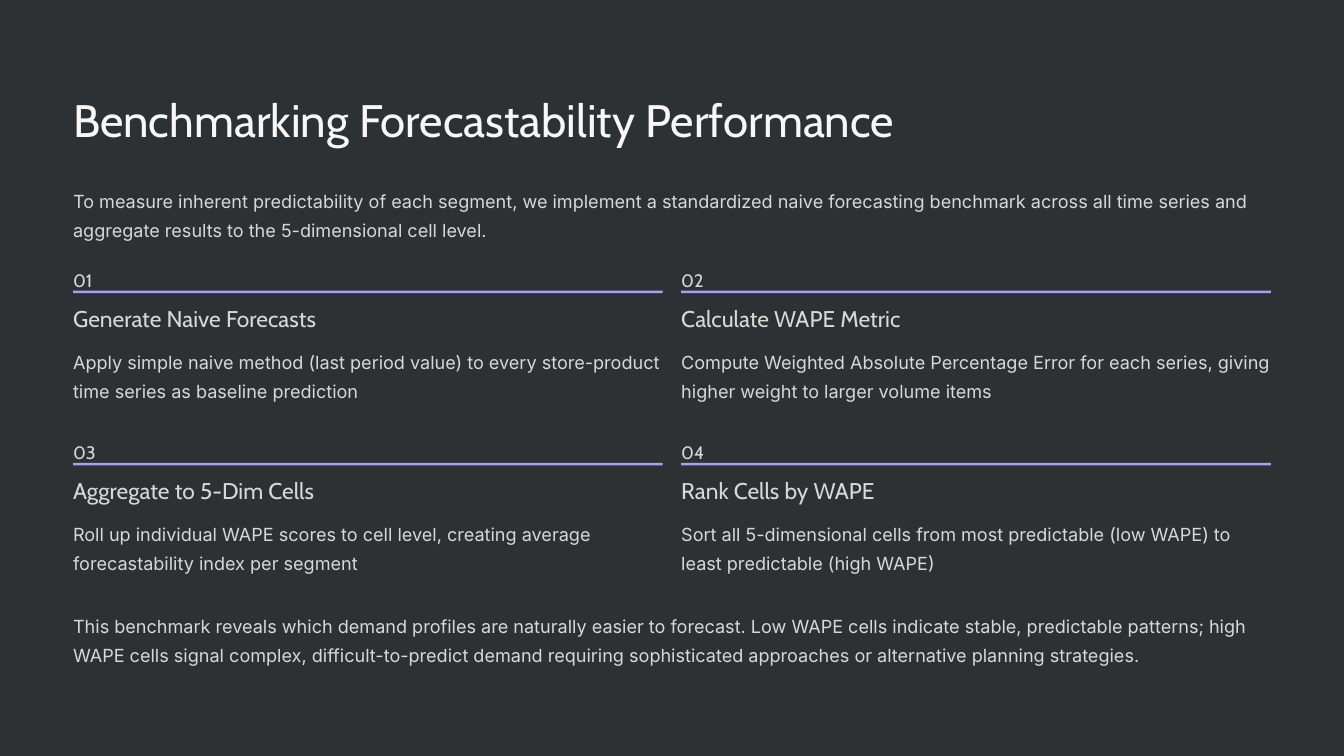
from dataclasses import dataclass

from pptx import Presentation
from pptx.dml.color import RGBColor
from pptx.enum.shapes import MSO_SHAPE
from pptx.enum.text import MSO_ANCHOR
from pptx.util import Inches, Pt

RECT = MSO_SHAPE.RECTANGLE
TOP = MSO_ANCHOR.TOP


@dataclass(frozen=True)
class Theme:
    back: str = "2D3133"
    light: str = "F7F7F8"
    body: str = "D6D9D7"
    accent: str = "AC9EF5"
    head_font: str = "Cabin"
    body_font: str = "Inter"
    title_size: float = 39
    head_size: float = 19.5
    body_size: float = 15.5
    title_line: float = 48.5
    head_line: float = 24
    body_line: float = 25


# Layout in inches
LEFT, WIDTH = 0.87, 14.26
COL_WIDTH, COL_STEP = 7.02, 7.24
ROW_TOP, ROW_STEP = 3.12, 2.05

TITLE = "Benchmarking Forecastability Performance"
INTRO = (
    "To measure inherent predictability of each segment, we implement a "
    "standardized naive forecasting benchmark across all time series and "
    "aggregate results to the 5-dimensional cell level."
)
STEPS = [
    ("Generate Naive Forecasts",
     "Apply simple naive method (last period value) to every store-product "
     "time series as baseline prediction"),
    ("Calculate WAPE Metric",
     "Compute Weighted Absolute Percentage Error for each series, giving "
     "higher weight to larger volume items"),
    ("Aggregate to 5-Dim Cells",
     "Roll up individual WAPE scores to cell level, creating average "
     "forecastability index per segment"),
    ("Rank Cells by WAPE",
     "Sort all 5-dimensional cells from most predictable (low WAPE) to "
     "least predictable (high WAPE)"),
]
CLOSING = (
    "This benchmark reveals which demand profiles are naturally easier to "
    "forecast. Low WAPE cells indicate stable, predictable patterns; high "
    "WAPE cells signal complex, difficult-to-predict demand requiring "
    "sophisticated approaches or alternative planning strategies."
)


def write(frame, text, *, font, size, color, line):
    """Put one formatted paragraph in a text frame."""
    para = frame.paragraphs[0]
    para.line_spacing = Pt(line)
    run = para.add_run()
    run.text = text
    run.font.name = font
    run.font.size = Pt(size)
    run.font.color.rgb = RGBColor.from_string(color)


class Deck:
    def __init__(self, slide, theme):
        self.slide = slide
        self.theme = theme
        fill = slide.background.fill
        fill.solid()
        fill.fore_color.rgb = RGBColor.from_string(theme.back)

    def text(self, x, y, w, h, text, **style):
        box = self.slide.shapes.add_textbox(
            Inches(x), Inches(y), Inches(w), Inches(h))
        frame = box.text_frame
        frame.word_wrap = True
        frame.vertical_anchor = TOP
        frame.margin_left = frame.margin_right = 0
        frame.margin_top = frame.margin_bottom = 0
        write(frame, text, **style)

    def title(self, x, y, w, text):
        t = self.theme
        self.text(x, y, w, 0.68, text, font=t.head_font, size=t.title_size,
                  color=t.light, line=t.title_line)

    def head(self, x, y, w, text):
        t = self.theme
        self.text(x, y, w, 0.34, text, font=t.head_font, size=t.head_size,
                  color=t.body, line=t.head_line)

    def number(self, x, y, w, text):
        t = self.theme
        self.text(x, y, w, 0.27, text, font=t.head_font, size=t.body_size,
                  color=t.body, line=t.body_line)

    def body(self, x, y, w, text):
        t = self.theme
        self.text(x, y, w, 0.69, text, font=t.body_font, size=t.body_size,
                  color=t.body, line=t.body_line)

    def rule(self, x, y, w):
        bar = self.slide.shapes.add_shape(
            RECT, Inches(x), Inches(y), Inches(w), Inches(0.03))
        bar.shadow.inherit = False
        bar.fill.solid()
        bar.fill.fore_color.rgb = RGBColor.from_string(self.theme.accent)
        bar.line.fill.background()

    def step(self, x, y, w, num, head, body):
        self.number(x, y, w, f"{num:02}")
        self.rule(x, y + 0.34, w)
        self.head(x, y + 0.5, w, head)
        self.body(x, y + 0.97, w, body)


def main():
    prs = Presentation()
    prs.slide_width, prs.slide_height = Inches(16), Inches(9)
    deck = Deck(prs.slides.add_slide(prs.slide_layouts[6]), Theme())

    # Title and introduction
    deck.title(LEFT, 1.07, WIDTH, TITLE)
    deck.body(LEFT, 2.18, WIDTH, INTRO)

    # Two-by-two grid of numbered steps
    for i, (head, body) in enumerate(STEPS):
        row, col = divmod(i, 2)
        deck.step(LEFT + col * COL_STEP, ROW_TOP + row * ROW_STEP,
                  COL_WIDTH, i + 1, head, body)

    # Closing remark
    deck.body(LEFT, 7.24, WIDTH, CLOSING)

    prs.save("out.pptx")


if __name__ == "__main__":
    main()
